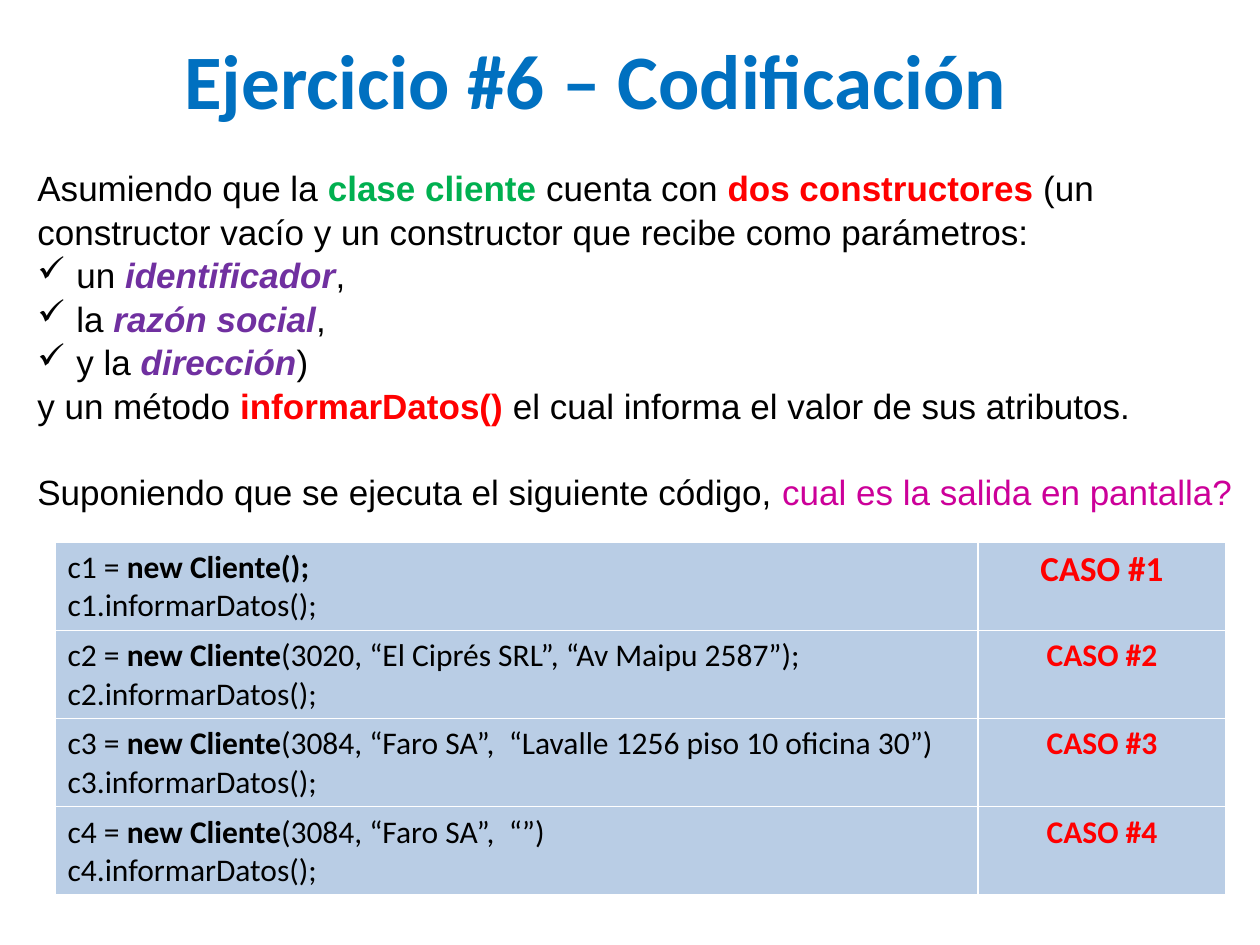
from dataclasses import dataclass

from lxml import etree
from pptx import Presentation
from pptx import util as u
from pptx.dml.color import RGBColor
from pptx.enum import text
from pptx.oxml.ns import qn

EMU_PER_PIXEL = 914400 // 126


def px(pixels):
    return u.Emu(pixels * EMU_PER_PIXEL)


@dataclass(frozen=True)
class Theme:
    title_font: str = "Calibri"
    body_font: str = "Arial"
    title_size: int = 44
    body_size: int = 20
    code_size: int = 18
    line_spacing: float = 1.04
    black: str = "000000"
    blue: str = "0070C0"
    green: str = "00B050"
    red: str = "FF0000"
    purple: str = "7030A0"
    magenta: str = "CC0099"
    cell: str = "B9CDE5"


class Deck:
    def __init__(self, theme):
        self.theme = theme
        self.presentation = Presentation()
        self.presentation.slide_width = u.Inches(10)
        self.presentation.slide_height = u.Inches(7.5)
        self.slide = self.presentation.slides.add_slide(
            self.presentation.slide_layouts[6])

    def text_box(self, left, top, width, height, anchor):
        frame = self.slide.shapes.add_textbox(
            px(left), px(top), px(width), px(height)).text_frame
        frame.word_wrap = True
        frame.vertical_anchor = anchor
        return frame

    def paragraph(self, frame, runs, font, size, color=None, bold=None, align=None):
        """Fill the first paragraph if it is still empty, else append one."""
        last = frame.paragraphs[-1]
        paragraph = frame.add_paragraph() if last.runs else last
        paragraph.font.name = font
        paragraph.font.size = u.Pt(size)
        paragraph.font.color.rgb = RGBColor.from_string(color or self.theme.black)
        paragraph.font.bold = bold
        paragraph.alignment = align
        for words, *style in runs:
            run = paragraph.add_run()
            run.text = words
            if "bold" in style:
                run.font.bold = True
            if "italic" in style:
                run.font.italic = True
            for shade in set(style) - {"bold", "italic"}:
                run.font.color.rgb = RGBColor.from_string(shade)
        return paragraph

    def bullet(self, paragraph, mark, indent):
        properties = paragraph._p.get_or_add_pPr()
        properties.set("marL", str(px(indent)))
        properties.set("indent", str(-px(indent)))
        bullet = etree.Element(qn("a:buChar"), char=mark)
        default_font = properties.find(qn("a:defRPr"))
        if default_font is None:
            properties.append(bullet)
        else:
            default_font.addprevious(bullet)

    def table(self, left, top, widths, row_height, row_count):
        table = self.slide.shapes.add_table(
            row_count, len(widths), px(left), px(top),
            px(sum(widths)), px(row_height * row_count)).table
        table.first_row = table.horz_banding = False
        for column, width in zip(table.columns, widths):
            column.width = px(width)
        for cell in table.iter_cells():
            cell.fill.solid()
            cell.fill.fore_color.rgb = RGBColor.from_string(self.theme.cell)
        return table


theme = Theme()
deck = Deck(theme)

# Statement of the exercise
statement = [
    (False, [("Asumiendo que la ",), ("clase cliente ", "bold", theme.green),
             ("cuenta con ",), ("dos constructores ", "bold", theme.red),
             ("(un constructor vacío y un constructor que recibe como parámetros:",)]),
    (True, [("un ",), ("identificador", "bold", "italic", theme.purple), (",",)]),
    (True, [("la ",), ("razón social", "bold", "italic", theme.purple), (",",)]),
    (True, [("y la ",), ("dirección", "bold", "italic", theme.purple), (")",)]),
    (False, [("y un método ",), ("informarDatos() ", "bold", theme.red),
             ("el cual informa el valor de sus atributos.",)]),
    (False, [("Suponiendo que se ejecuta el siguiente código, ",),
             ("cual es la salida en pantalla?", theme.magenta)]),
]
body = deck.text_box(25, 163, 1235, 351, text.MSO_ANCHOR.MIDDLE)
for is_parameter, runs in statement:
    line = deck.paragraph(body, runs, theme.body_font, theme.body_size)
    line.line_spacing = theme.line_spacing
    if is_parameter:
        deck.bullet(line, "✓", 39)
question = line
question.space_before = u.Pt(24)

# Title
title = deck.text_box(25, 26, 1142, 106, text.MSO_ANCHOR.TOP)
deck.paragraph(title, [("Ejercicio #6 – Codificación",)], theme.title_font,
               theme.title_size, theme.blue, True, text.PP_ALIGN.CENTER)

# Code cases: constructor call, arguments, and size of the label
cases = [
    ("new Cliente();", "", 20),
    ("new Cliente", "(3020, “El Ciprés SRL”, “Av Maipu 2587”);", 18),
    ("new Cliente", "(3084, “Faro SA”,  “Lavalle 1256 piso 10 oficina 30”)", 18),
    ("new Cliente", "(3084, “Faro SA”,  “”)", 18),
]
case_table = deck.table(55, 542, [923, 248], 88, len(cases))
for number, (call, arguments, label_size) in enumerate(cases, 1):
    code, label = (cell.text_frame for cell in case_table.rows[number - 1].cells)
    creation = [(f"c{number} = ",), (call, "bold")]
    if arguments:
        creation.append((arguments,))
    for runs in (creation, [(f"c{number}.informarDatos();",)]):
        deck.paragraph(code, runs, theme.title_font, theme.code_size)
    deck.paragraph(label, [(f"CASO #{number}",)], theme.title_font, label_size,
                   theme.red, True, text.PP_ALIGN.CENTER)

deck.presentation.save("out.pptx")
